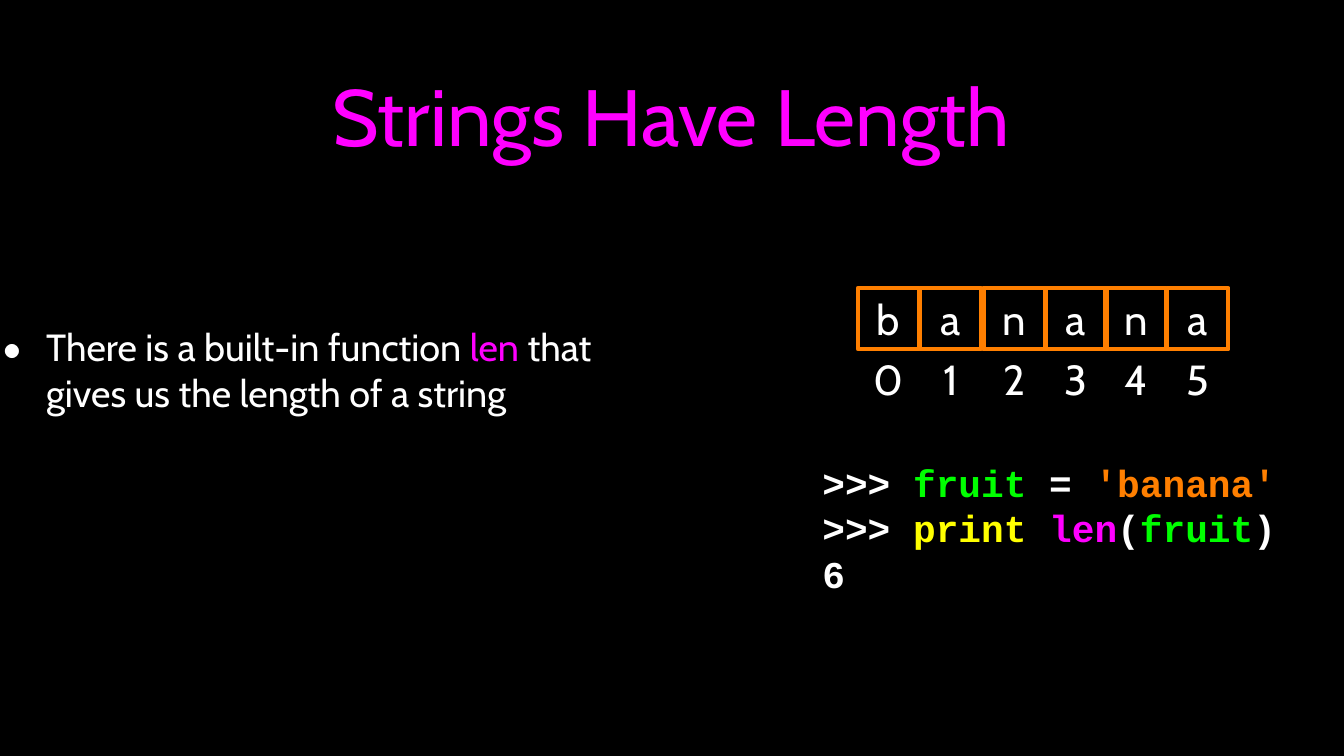
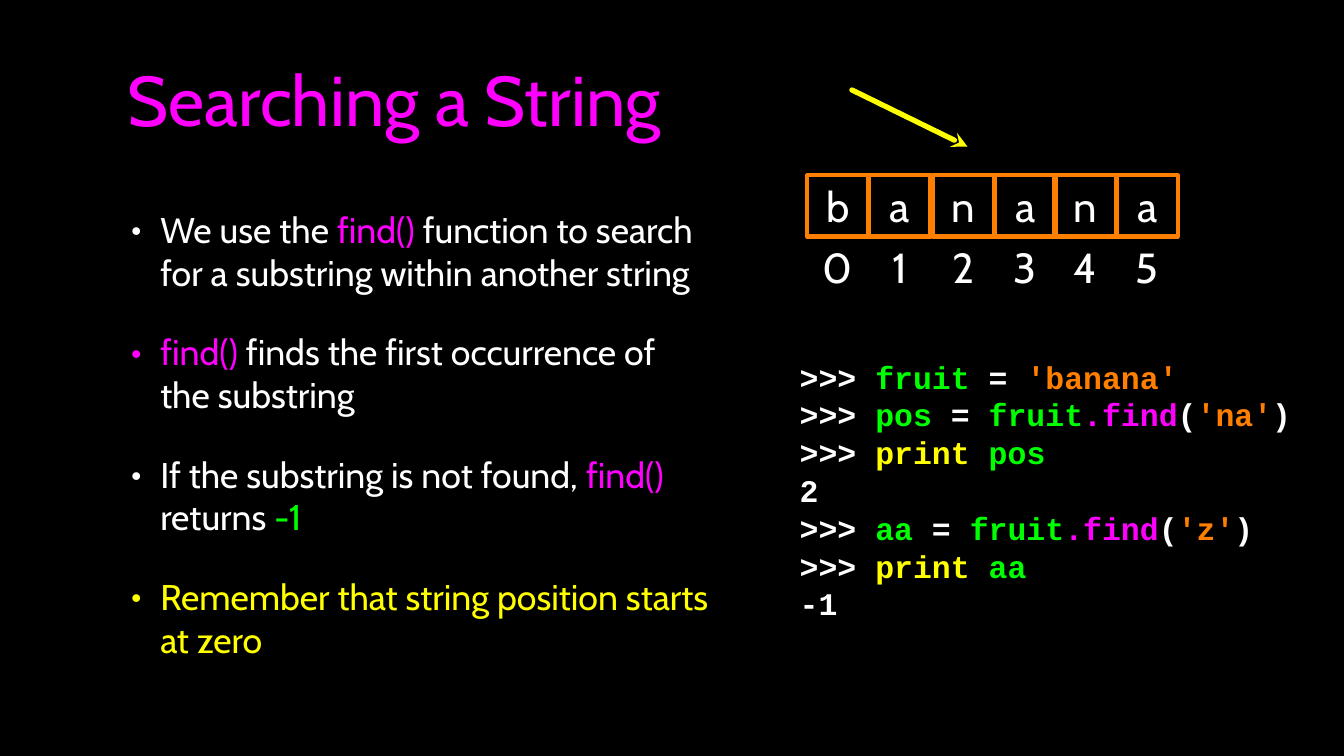
from dataclasses import dataclass

from pptx import Presentation, util as u
from pptx.dml.color import RGBColor
from pptx.enum import shapes, text
from pptx.oxml.ns import qn
from lxml import etree

PX = 9144  # 100 px to the inch
BLACK = RGBColor(0x00, 0x00, 0x00)
WHITE = RGBColor(0xFF, 0xFF, 0xFF)
MAGENTA = RGBColor(0xFF, 0x00, 0xFF)
GREEN = RGBColor(0x00, 0xFF, 0x00)
YELLOW = RGBColor(0xFF, 0xFF, 0x00)
ORANGE = RGBColor(0xFF, 0x7F, 0x00)
BODY_FONT, CODE_FONT = "Cabin", "Courier New"

CELL = 81
CELL_OFFSETS = (0, 82, 166, 248, 327, 409)
INDEX_DROP = 80

Run = tuple[str, RGBColor]
Line = list[Run]
PROMPT: Run = (">>> ", WHITE)
OPEN: Run = ("(", WHITE)
CLOSE: Run = (")", WHITE)
FIND: Run = ("find()", MAGENTA)
DOT_FIND: Run = (".find", MAGENTA)
PRINT: Run = ("print ", YELLOW)
FRUIT: Run = ("fruit", GREEN)
ASSIGN_FRUIT: Line = [PROMPT, FRUIT, (" = ", WHITE), ("'banana'", ORANGE)]


@dataclass(frozen=True)
class Box:
    left: int
    top: int
    width: int
    height: int

    def emu(self) -> list[int]:
        return [n * PX for n in (self.left, self.top, self.width, self.height)]


@dataclass(frozen=True)
class TextStyle:
    size: int
    font: str = BODY_FONT
    bold: bool = False
    align: text.PP_ALIGN = text.PP_ALIGN.LEFT
    inset: int = 0
    line_points: float | None = None
    space_before: int = 0


@dataclass(frozen=True)
class Bullet:
    margin: int
    hang: int
    percent: int = 100


CELL_STYLE = TextStyle(40, align=text.PP_ALIGN.CENTER)


def title_style(size: int) -> TextStyle:
    return TextStyle(size, align=text.PP_ALIGN.CENTER, inset=4)


def code_style(size: int) -> TextStyle:
    return TextStyle(size, CODE_FONT, bold=True, line_points=size * 1.2)


def add_bullet(paragraph, bullet: Bullet, color: RGBColor) -> None:
    properties = paragraph._p.get_or_add_pPr()
    properties.set("marL", str(bullet.margin * PX))
    properties.set("indent", str(-bullet.hang * PX))
    bullet_color = etree.SubElement(properties, qn("a:buClr"))
    etree.SubElement(bullet_color, qn("a:srgbClr"), val=str(color))
    etree.SubElement(properties, qn("a:buSzPct"), val=str(bullet.percent * 1000))
    etree.SubElement(properties, qn("a:buFont"), typeface=BODY_FONT)
    etree.SubElement(properties, qn("a:buChar"), char="•")


def write(shape, lines: list[Line], style: TextStyle, bullet: Bullet | None = None) -> None:
    frame = shape.text_frame
    frame.word_wrap = True
    frame.vertical_anchor = text.MSO_ANCHOR.MIDDLE
    frame.margin_left = frame.margin_right = style.inset * PX
    frame.margin_top = frame.margin_bottom = style.inset * PX
    for number, line in enumerate(lines):
        paragraph = frame.add_paragraph() if number else frame.paragraphs[0]
        paragraph.alignment = style.align
        paragraph.font.size = u.Pt(style.size)
        paragraph.font.name = style.font
        paragraph.font.bold = style.bold
        if style.line_points:
            paragraph.line_spacing = u.Pt(style.line_points)
        if number and style.space_before:
            paragraph.space_before = u.Pt(style.space_before)
        if bullet:
            add_bullet(paragraph, bullet, line[0][1])
        for words, color in line:
            run = paragraph.add_run()
            run.text = words
            run.font.color.rgb = color


def add_text(slide, box: Box, lines: list[Line], style: TextStyle,
             bullet: Bullet | None = None) -> None:
    write(slide.shapes.add_textbox(*box.emu()), lines, style, bullet)


def add_indexed_string(slide, word: str, left: int, top: int) -> None:
    """Draw each letter in a framed cell with its index below."""
    for index, (letter, offset) in enumerate(zip(word, CELL_OFFSETS)):
        add_text(slide, Box(left + offset, top + INDEX_DROP, CELL, CELL),
                 [[(str(index), WHITE)]], CELL_STYLE)
        cell = slide.shapes.add_shape(
            shapes.MSO_SHAPE.RECTANGLE, *Box(left + offset, top, CELL, CELL).emu())
        cell.shadow.inherit = False
        cell.fill.background()
        cell.line.color.rgb = ORANGE
        cell.line.width = u.Pt(4)
        write(cell, [[(letter, WHITE)]], CELL_STYLE)


def add_arrow(slide, tip: tuple[int, int], end: tuple[int, int]) -> None:
    arrow = slide.shapes.add_connector(
        shapes.MSO_CONNECTOR.STRAIGHT, *(n * PX for n in tip + end))
    arrow.line.color.rgb = YELLOW
    arrow.line.width = u.Pt(5)
    line = arrow.line._get_or_add_ln()
    line.set("cap", "rnd")
    etree.SubElement(line, qn("a:headEnd"), type="stealth")
    etree.SubElement(arrow._element.spPr, qn("a:effectLst"))


def add_slide(presentation, title: str, box: Box, size: int):
    slide = presentation.slides.add_slide(presentation.slide_layouts[6])
    slide.background.fill.solid()
    slide.background.fill.fore_color.rgb = BLACK
    add_text(slide, box, [[(title, MAGENTA)]], title_style(size))
    return slide


def build_length_slide(presentation) -> None:
    slide = add_slide(presentation, "Strings Have Length", Box(126, 26, 1524, 251), 76)
    add_text(slide, Box(-25, 285, 838, 407), [
        [("There is a built-in function ", WHITE), ("len", MAGENTA),
         (" that gives us the length of a string", WHITE)],
    ], TextStyle(36, inset=4), Bullet(82, 58, 171))
    add_text(slide, Box(1088, 607, 690, 182), [
        ASSIGN_FRUIT,
        [PROMPT, PRINT, ("len", MAGENTA), OPEN, FRUIT, CLOSE],
        [("6", WHITE)],
    ], code_style(36))
    add_indexed_string(slide, "banana", 1135, 381)


def build_search_slide(presentation) -> None:
    slide = add_slide(presentation, "Searching a String", Box(67, 26, 908, 207), 67)
    add_text(slide, Box(126, 240, 815, 668), [
        [("We use the ", WHITE), FIND,
         (" function to search for a substring within another string", WHITE)],
        [FIND, (" finds the first occurrence of the substring", WHITE)],
        [("If the substring is not found, ", WHITE), FIND,
         (" returns ", WHITE), ("-1", GREEN)],
        [("Remember that string position starts at zero", YELLOW)],
    ], TextStyle(34, inset=4, space_before=35), Bullet(82, 39))
    add_text(slide, Box(1058, 436, 683, 424), [
        ASSIGN_FRUIT,
        [PROMPT, ("pos", GREEN), (" = ", WHITE), FRUIT, DOT_FIND,
         OPEN, ("'na'", ORANGE), CLOSE],
        [PROMPT, PRINT, ("pos", GREEN)],
        [("2", WHITE)],
        [PROMPT, ("aa", GREEN), (" = ", WHITE), FRUIT, DOT_FIND,
         OPEN, ("'z'", ORANGE), CLOSE],
        [PROMPT, PRINT, ("aa", GREEN)],
        [("-1", WHITE)],
    ], code_style(30))
    add_arrow(slide, (1280, 194), (1127, 119))
    add_indexed_string(slide, "banana", 1068, 232)


def main() -> None:
    presentation = Presentation()
    presentation.slide_width = 1778 * PX
    presentation.slide_height = 1000 * PX
    build_length_slide(presentation)
    build_search_slide(presentation)
    presentation.save("out.pptx")


if __name__ == "__main__":
    main()
